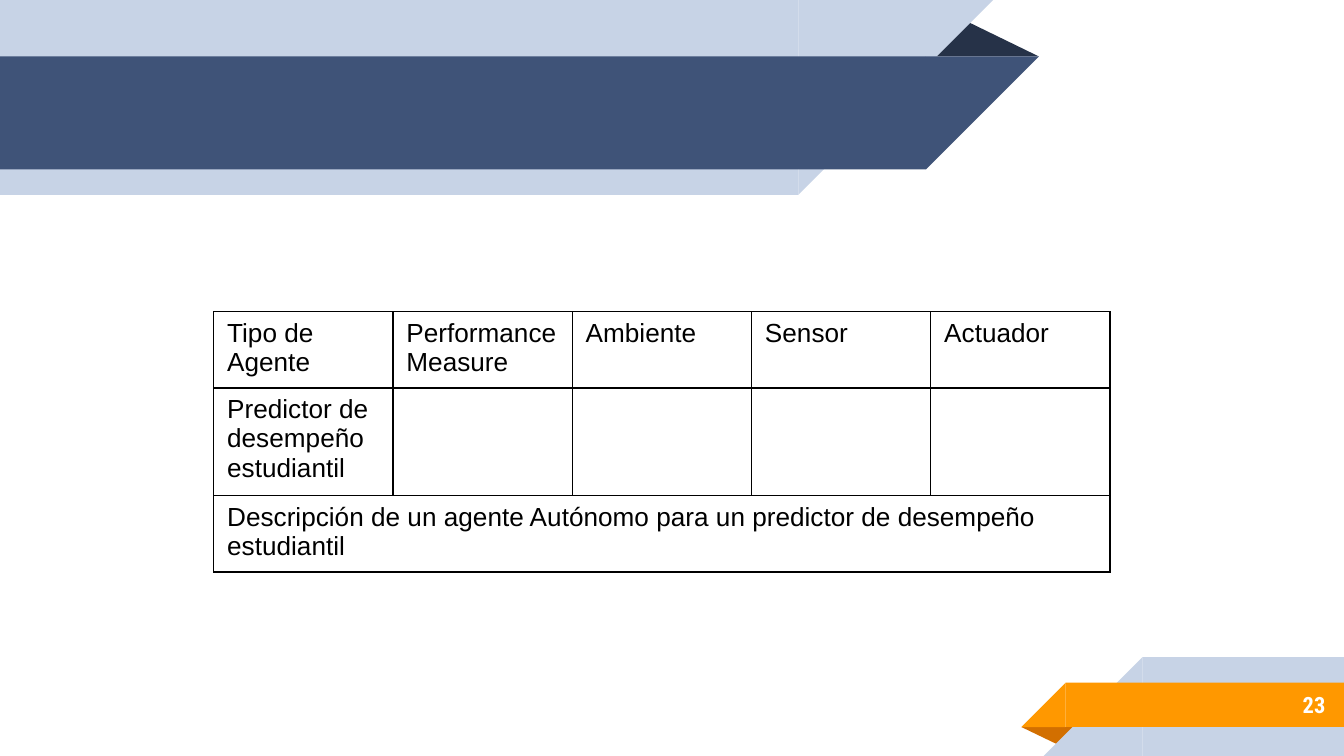
from lxml import etree
from pptx import Presentation
from pptx import util as u
from pptx.dml.color import RGBColor
from pptx.enum import shapes, text
from pptx.oxml import ns

HUES = {"pale": "C7D3E6", "blue": "3F5378", "navy": "263248", "gold": "FF9800",
        "rust": "D26F00", "white": "FFFFFF", "black": "000000"}
KIND = shapes.MSO_SHAPE
CELL = {"name": "Arial", "size": u.Pt(14), "bold": False}
PAGE = {"name": "Roboto Condensed", "size": u.Pt(12), "bold": True}
HEADS = ["Tipo de Agente", "Performance Measure", "Ambiente", "Sensor", "Actuador"]
TASK = "Predictor de desempeño estudiantil"
NOTE = "Descripción de un agente Autónomo para un predictor de desempeño estudiantil"


def put(slide, kind, box, hue, turn=0):
    """Add a plain filled shape."""
    shape = slide.shapes.add_shape(kind, *map(u.Inches, box))
    shape.shadow.inherit = False
    shape.fill.solid()
    shape.fill.fore_color.rgb = RGBColor.from_string(HUES[hue])
    shape.line.fill.background()
    shape.rotation = turn
    return shape


def fold(slide, box, hue, turn=0):
    """Add the dark triangle behind a ribbon."""
    put(slide, KIND.ISOSCELES_TRIANGLE, box, hue, turn).adjustments[0] = 0.324


def band(slide, left, top, width, height, hue, turn):
    """Add a bar with a slanted end: turn 90 on its right, 270 on its left."""
    tip = left + width if turn == 90 else left - height
    put(slide, KIND.RECTANGLE, (left, top, width, height), hue)
    put(slide, KIND.RIGHT_TRIANGLE, (tip, top, height, height), hue, turn)


def style(font, look, hue):
    """Set a font from a dict of format values."""
    for key, value in look.items():
        setattr(font, key, value)
    font.color.rgb = RGBColor.from_string(HUES[hue])


def edge(cell):
    """Draw a thin black border on all sides of a cell."""
    props = cell._tc.get_or_add_tcPr()
    for spot, side in enumerate(("lnL", "lnR", "lnT", "lnB")):
        line = etree.Element(ns.qn("a:" + side), w=str(u.Pt(0.75)))
        fill = etree.SubElement(line, ns.qn("a:solidFill"))
        etree.SubElement(fill, ns.qn("a:srgbClr"), val=HUES["black"])
        props.insert(spot, line)


def grid(slide):
    """Add the agent table."""
    rows = [HEADS, [TASK] + [""] * 4, [NOTE] + [""] * 4]
    box = (1.59, 2.32, 6.67, 1.23)
    frame = slide.shapes.add_table(3, 5, *map(u.Inches, box))
    table = frame.table
    table.first_row = table.horz_banding = False
    for row, words in zip(table.rows, rows):
        for cell, word in zip(row.cells, words):
            cell.text = word
            cell.fill.background()
            style(cell.text_frame.paragraphs[0].font, CELL, "black")
            edge(cell)
    table.cell(2, 0).merge(table.cell(2, 4))
    frame.height = u.Inches(1.93)


def page(slide, word):
    """Add the slide number."""
    box = slide.shapes.add_textbox(*map(u.Inches, (8.33, 5.07, 1.63, 0.35)))
    frame = box.text_frame
    frame.word_wrap = True
    frame.vertical_anchor = text.MSO_ANCHOR.MIDDLE
    for side in ("left", "right", "top", "bottom"):
        setattr(frame, "margin_" + side, u.Inches(0.1))
    para = frame.paragraphs[0]
    para.alignment = text.PP_ALIGN.RIGHT
    run = para.add_run()
    run.text = word
    style(run.font, PAGE, "white")


def main():
    """Build and save the slide."""
    deck = Presentation()
    deck.slide_width, deck.slide_height = u.Inches(10), u.Inches(10) * 9 // 16
    slide = deck.slides.add_slide(deck.slide_layouts[6])
    fold(slide, (6.88, 0.14, 0.85, 0.28), "navy")
    band(slide, 0, 0, 5.94, 1.45, "pale", 90)
    band(slide, 0, 0.42, 6.89, 0.84, "blue", 90)
    fold(slide, (7.6, 5.41, 0.43, 0.14), "rust", 180)
    band(slide, 8.5, 4.89, 1.5, 0.74, "pale", 270)
    band(slide, 7.93, 5.08, 2.07, 0.33, "gold", 270)
    page(slide, "23")
    grid(slide)
    deck.save("out.pptx")


if __name__ == "__main__":
    main()
